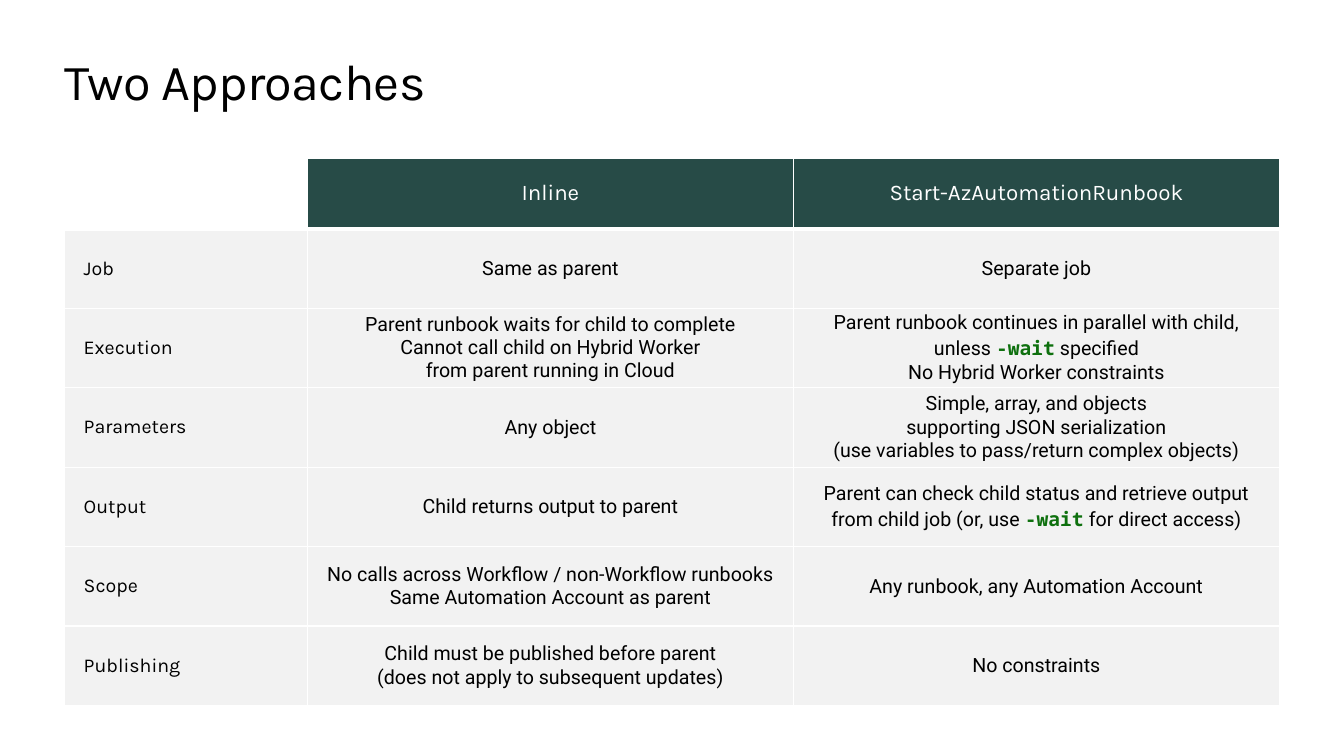
from lxml.etree import SubElement
from pptx import Presentation
from pptx.dml.color import RGBColor
from pptx.enum.text import MSO_ANCHOR, PP_ALIGN
from pptx.oxml.ns import qn
from pptx.util import Inches, Pt

# Content: each cell is a list of paragraphs, "\n" is a line break
TITLE = "Two Approaches"
CODE = "-wait"
HEADINGS = ([], ["Inline"], ["Start-AzAutomationRunbook"])
ASPECTS = [
    (["Job"], ["Same as parent"], ["Separate job"]),
    (["Execution"],
     ["Parent runbook waits for child to complete\n"
      "Cannot call child on Hybrid Worker\nfrom parent running in Cloud"],
     ["Parent runbook continues in parallel with child,\nunless -wait specified",
      "No Hybrid Worker constraints"]),
    (["Parameters"], ["Any object"],
     ["Simple, array, and objects\nsupporting JSON serialization\n"
      "(use variables to pass/return complex objects)"]),
    (["Output"], ["Child returns output to parent"],
     ["Parent can check child status and retrieve output\n"
      "from child job (or, use -wait for direct access)"]),
    (["Scope"],
     ["No calls across Workflow / non-Workflow runbooks\n"
      "Same Automation Account as parent"],
     ["Any runbook, any Automation Account"]),
    (["Publishing"],
     ["Child must be published before parent",
      "(does not apply to subsequent updates)"],
     ["No constraints"]),
]

# Style
HEADING_FONT, BODY_FONT, CODE_FONT = "Karla", "Roboto", "Noto Sans Mono"
BLACK = RGBColor(0x00, 0x00, 0x00)
WHITE = RGBColor(0xFF, 0xFF, 0xFF)
PINE = RGBColor(0x27, 0x4B, 0x47)
MIST = RGBColor(0xF2, 0xF2, 0xF2)
CODE_GREEN = RGBColor(0x0E, 0x70, 0x0E)

# Layout in inches
SLIDE_W, SLIDE_H = 13.33, 7.5
MARGIN, CONTENT_W = 0.64, 12.05
TITLE_TOP, TITLE_H = 0.5, 0.61
TABLE_TOP, TABLE_H, HEADING_H = 1.57, 5.43, 0.7
ASPECT_W = 0.2 * CONTENT_W
APPROACH_W = (CONTENT_W - ASPECT_W) / 2
ASPECT_H = (TABLE_H - HEADING_H) / len(ASPECTS)
LABEL_INDENT = 0.19


def set_font(font, name, size, color):
    font.name, font.size = name, Pt(size)
    font.color.rgb = color


def clear_margins(box, left=0):
    box.margin_left = Inches(left)
    box.margin_right = box.margin_top = box.margin_bottom = 0


def write_line(paragraph, line):
    before, code, after = line.partition(CODE)
    for text in filter(None, (before, code, after)):
        run = paragraph.add_run()
        run.text = text
        if text == CODE:
            run.font.name, run.font.bold = CODE_FONT, True
            run.font.color.rgb = CODE_GREEN


def write_cell(cell, paragraphs, font, size, color, align):
    cell.vertical_anchor = MSO_ANCHOR.MIDDLE
    frame = cell.text_frame
    for i, text in enumerate(paragraphs):
        paragraph = frame.add_paragraph() if i else frame.paragraphs[0]
        paragraph.alignment = align
        set_font(paragraph.font, font, size, color)
        for j, line in enumerate(text.split("\n")):
            if j:
                paragraph.add_line_break()
            write_line(paragraph, line)


def set_borders(cell, bottom):
    properties = cell._tc.get_or_add_tcPr()
    for i, (side, width) in enumerate((("L", 1), ("R", 1), ("T", 1), ("B", bottom))):
        border = properties.makeelement(qn(f"a:ln{side}"), {"w": str(Pt(width))})
        fill = SubElement(border, qn("a:solidFill"))
        SubElement(fill, qn("a:srgbClr"), val=str(WHITE))
        properties.insert(i, border)


def add_title(slide):
    box = slide.shapes.add_textbox(
        Inches(MARGIN), Inches(TITLE_TOP), Inches(CONTENT_W), Inches(TITLE_H))
    frame = box.text_frame
    frame.word_wrap = True
    clear_margins(frame)
    title = frame.paragraphs[0]
    run = title.add_run()
    run.text = TITLE
    run.font._element.set("spc", "-50")
    set_font(title.font, HEADING_FONT, 36, BLACK)


def add_comparison(slide):
    rows = [HEADINGS, *ASPECTS]
    table = slide.shapes.add_table(
        len(rows), len(HEADINGS), Inches(MARGIN), Inches(TABLE_TOP),
        Inches(CONTENT_W), Inches(TABLE_H)).table
    table.first_row = table.horz_banding = False
    for column, width in zip(table.columns, (ASPECT_W, APPROACH_W, APPROACH_W)):
        column.width = Inches(width)

    for r, row in enumerate(rows):
        table.rows[r].height = Inches(ASPECT_H if r else HEADING_H)
        for c, paragraphs in enumerate(row):
            cell = table.cell(r, c)
            is_label = r > 0 and c == 0
            clear_margins(cell, LABEL_INDENT if is_label else 0)
            if paragraphs:
                cell.fill.solid()
                cell.fill.fore_color.rgb = MIST if r else PINE
            else:
                cell.fill.background()
            write_cell(cell, paragraphs,
                       BODY_FONT if r and c else HEADING_FONT,
                       14 if r else 16, BLACK if r else WHITE,
                       PP_ALIGN.LEFT if is_label else PP_ALIGN.CENTER)
            # A thicker rule parts the headings from the body
            set_borders(cell, 1 if r else 3)
            if r == 1:
                top = cell._tc.tcPr.find(qn("a:lnT"))
                top.set("w", str(Pt(3)))


def main():
    deck = Presentation()
    deck.slide_width, deck.slide_height = Inches(SLIDE_W), Inches(SLIDE_H)
    slide = deck.slides.add_slide(deck.slide_layouts[6])
    add_title(slide)
    add_comparison(slide)
    deck.save("out.pptx")


if __name__ == "__main__":
    main()
